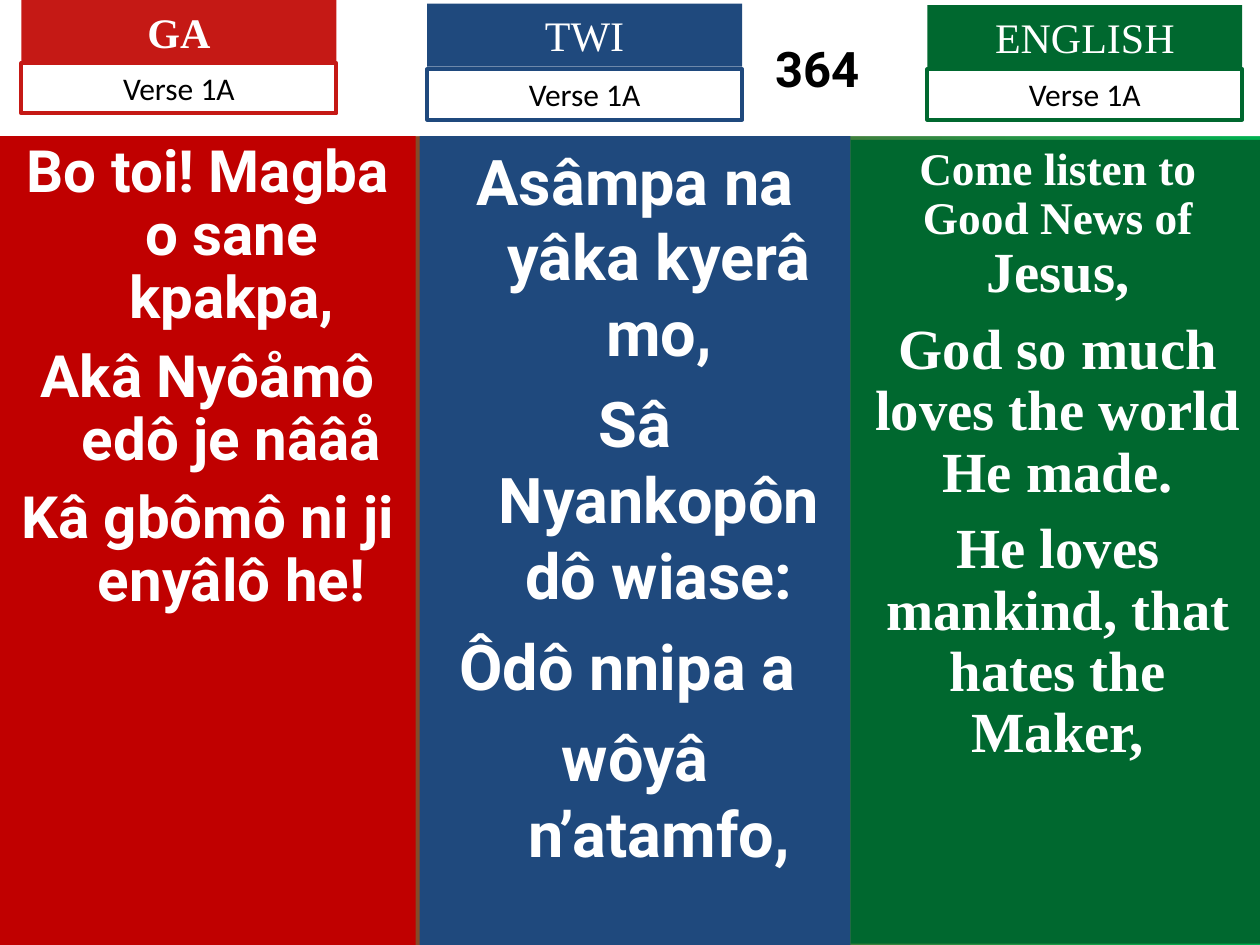
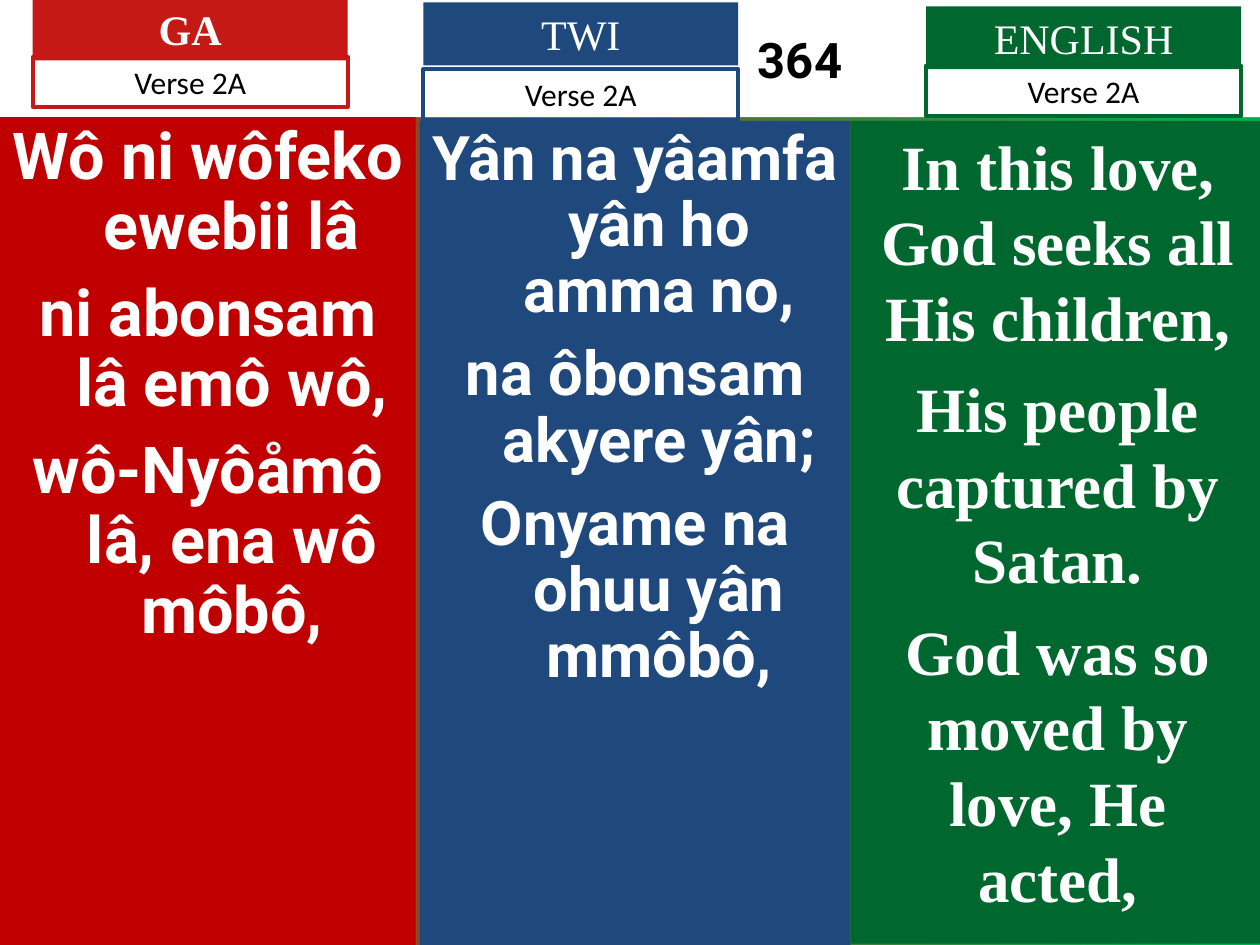
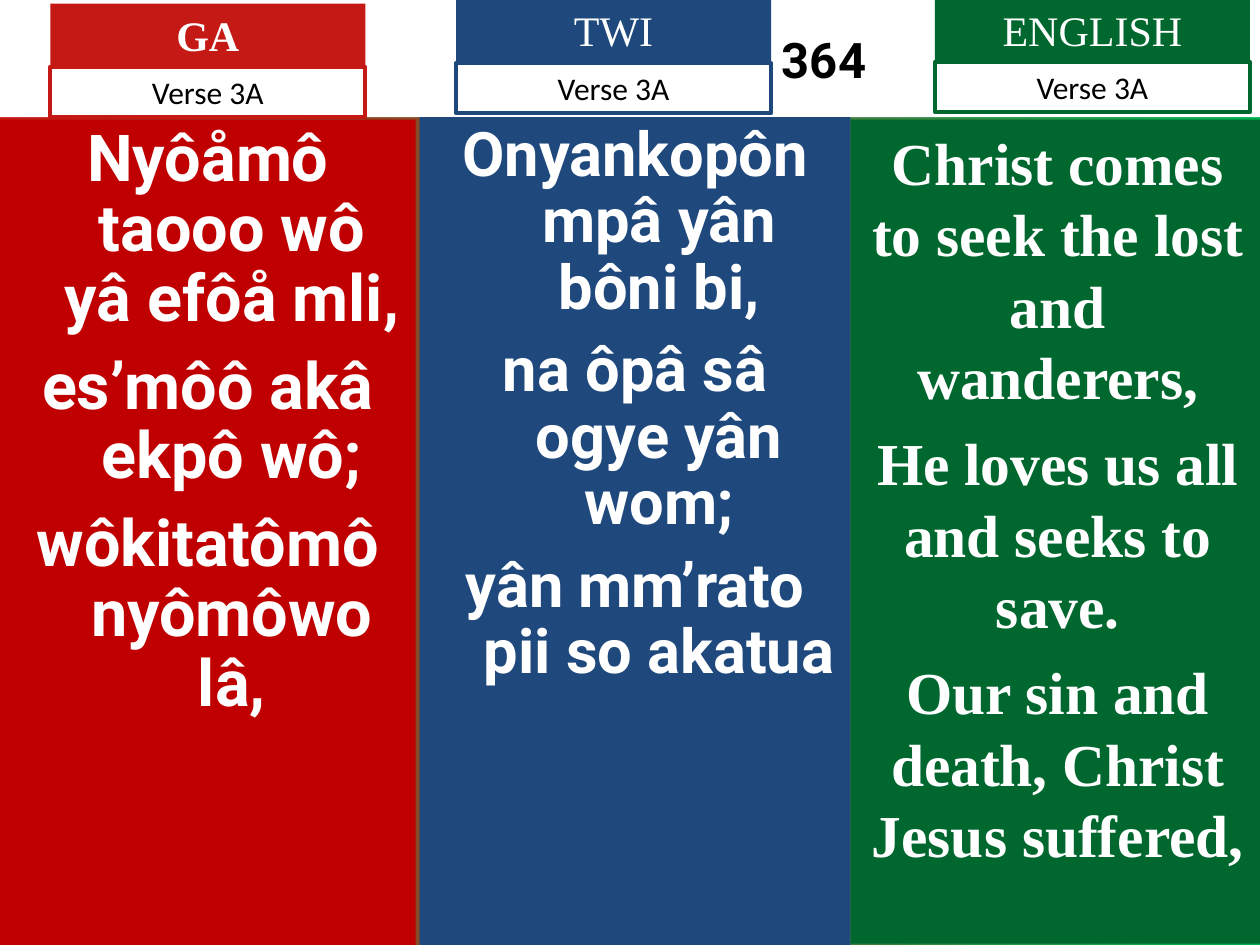
from dataclasses import dataclass

from pptx import Presentation
from pptx.dml.color import RGBColor
from pptx.enum.shapes import MSO_SHAPE
from pptx.enum.text import MSO_ANCHOR, PP_ALIGN
from pptx.util import Pt

PX = 9144  # EMU in one px, 100 px to the inch
PAGE_WIDTH, PAGE_HEIGHT = 1000, 750

RECTANGLE = MSO_SHAPE.RECTANGLE
TOP, MIDDLE = MSO_ANCHOR.TOP, MSO_ANCHOR.MIDDLE
CENTER = PP_ALIGN.CENTER

WHITE = RGBColor(0xFF, 0xFF, 0xFF)
BLACK = RGBColor(0x00, 0x00, 0x00)
RED = RGBColor(0xC5, 0x19, 0x15)
DEEP_RED = RGBColor(0xC0, 0x00, 0x00)
BLUE = RGBColor(0x1F, 0x49, 0x7D)
GREEN = RGBColor(0x00, 0x68, 0x2F)
BRIGHT_GREEN = RGBColor(0x00, 0xB0, 0x50)

SANS, SERIF, PLAIN = "Roboto", "Times New Roman", "Calibri"
HYMN_NUMBER = "364"


@dataclass
class Language:
    name: str
    accent: RGBColor
    panel_color: RGBColor
    left: int
    width: int
    bottom: int
    font: str
    hanging: int
    bold_name: bool


LANGUAGES = [
    Language("GA", RED, DEEP_RED, 0, 330, 750, SANS, 38, True),
    Language("TWI", BLUE, BLUE, 333, 342, 750, SANS, 38, False),
    Language("ENGLISH", GREEN, GREEN, 675, 329, 749, SERIF, 0, False),
]


@dataclass
class Column:
    """One language's verse; a line is a string or a list of (text, size) spans."""
    tag_left: int
    name_top: int
    verse_top: int
    panel_top: int
    size: float
    space: float
    spacing: float
    lines: list


@dataclass
class Verse:
    label: str
    band_height: int
    number_inset: int
    columns: list


VERSES = [
    Verse("Verse 1A", 108, 298, [
        Column(17, 0, 50, 108, 33.3, 9, 0.9, [
            "Bo toi! Magba o sane kpakpa,",
            "Akâ Nyôåmô edô je nââå",
            "Kâ gbômô ni ji enyâlô he!"]),
        Column(339, 3, 55, 108, 36, 9, 1.0, [
            "Asâmpa na yâka kyerâ mo,",
            "Sâ Nyankopôn dô wiase:",
            "Ôdô nnipa a ",
            "wôyâ n’atamfo,"]),
        Column(736, 4, 55, 111, 32.4, 8.8, 0.9, [
            [("Come listen to Good News of ", 25.9), ("Jesus,", 32.4)],
            "God so much loves the world He made.",
            "He loves mankind, that hates the Maker,"]),
    ]),
    Verse("Verse 2A", 93, 270, [
        Column(26, -2, 45, 93, 37, 10, 0.9, [
            "Wô ni wôfeko ewebii lâ",
            "ni abonsam lâ emô wô,",
            "wô-Nyôåmô lâ, ena wô môbô,"]),
        Column(336, 2, 55, 96, 35.1, 9.5, 0.9, [
            "Yân na yâamfa yân ho amma no,",
            "na ôbonsam akyere yân;",
            "Onyame na ohuu yân mmôbô,"]),
        Column(735, 5, 52, 96, 36, 9, 1.0, [
            "In this love, God seeks all His children,",
            "His people captured by Satan.",
            "God was so moved by love, He acted,"]),
    ]),
    Verse("Verse 3A", 93, 308, [
        Column(40, 3, 53, 95, 37, 10, 0.9, [
            "Nyôåmô taooo wô yâ efôå mli,",
            "es’môô akâ ekpô wô;",
            "wôkitatômô nyômôwo lâ,"]),
        Column(362, -1, 50, 93, 35.1, 9.5, 0.9, [
            "Onyankopôn mpâ yân bôni bi,",
            "na ôpâ sâ ogye yân wom;",
            "yân mm’rato pii so akatua"]),
        Column(742, -1, 49, 95, 34, 8.5, 1.0, [
            "Christ comes to seek the lost and wanderers,",
            "He loves us all and seeks to save.",
            "Our sin and death, Christ Jesus suffered,"]),
    ]),
]


class HymnDeck:
    def __init__(self):
        self.deck = Presentation()
        self.deck.slide_width = PAGE_WIDTH * PX
        self.deck.slide_height = PAGE_HEIGHT * PX
        self.page = None

    def add_page(self):
        self.page = self.deck.slides.add_slide(self.deck.slide_layouts[6])
        fill = self.page.background.fill
        fill.gradient()
        fill.gradient_angle = 0
        for stop, color in zip(fill.gradient_stops, (RED, BRIGHT_GREEN)):
            stop.color.rgb = color

    def add_box(self, left, top, width, height, fill=None, line=None):
        box = self.page.shapes.add_shape(
            RECTANGLE, left * PX, top * PX, width * PX, height * PX)
        box.shadow.inherit = False
        if fill is None:
            box.fill.background()
        else:
            box.fill.solid()
            box.fill.fore_color.rgb = fill
        if line is None:
            box.line.fill.background()
        else:
            box.line.color.rgb = line
            box.line.width = Pt(2.25)
        frame = box.text_frame
        frame.word_wrap = True
        frame.vertical_anchor = TOP
        frame.margin_left = frame.margin_right = 10 * PX
        frame.margin_top = frame.margin_bottom = 5 * PX
        return box

    def add_span(self, para, text, font, size, color, bold=False):
        para.alignment = CENTER
        span = para.add_run()
        span.text = text
        span.font.name = font
        span.font.size = Pt(size)
        span.font.bold = bold
        span.font.color.rgb = color

    def add_band(self, height, number_inset):
        """White top band; its left inset shifts the centred hymn number."""
        frame = self.add_box(0, 0, PAGE_WIDTH, height, WHITE).text_frame
        frame.vertical_anchor = MIDDLE
        frame.margin_left, frame.margin_right = number_inset * PX, 0
        self.add_span(frame.paragraphs[0], HYMN_NUMBER, SANS, 28, BLACK, True)

    def add_panel(self, language, column):
        box = self.add_box(language.left, column.panel_top, language.width,
                           language.bottom - column.panel_top,
                           language.panel_color)
        frame = box.text_frame
        for index, line in enumerate(column.lines):
            para = frame.add_paragraph() if index else frame.paragraphs[0]
            if index:
                para.space_before = Pt(column.space)
            para.line_spacing = column.spacing
            if language.hanging:
                properties = para._p.get_or_add_pPr()
                properties.set("marL", str(language.hanging * PX))
                properties.set("indent", str(-language.hanging * PX))
            spans = [(line, column.size)] if isinstance(line, str) else line
            for text, size in spans:
                self.add_span(para, text, language.font, size, WHITE, True)

    def add_tag(self, language, column, label):
        """Language name over its framed verse label."""
        name = self.add_box(column.tag_left, column.name_top, 250, 50,
                            fill=language.accent)
        self.add_span(name.text_frame.paragraphs[0], language.name, SERIF, 24,
                      WHITE, language.bold_name)
        verse = self.add_box(column.tag_left, column.verse_top, 250, 40,
                             line=language.accent)
        self.add_span(verse.text_frame.paragraphs[0], label, PLAIN, 18, BLACK)

    def add_verse(self, verse):
        self.add_page()
        self.add_band(verse.band_height, verse.number_inset)
        for language, column in zip(LANGUAGES, verse.columns):
            self.add_panel(language, column)
        for language, column in zip(LANGUAGES, verse.columns):
            self.add_tag(language, column, verse.label)


def main():
    hymn = HymnDeck()
    for verse in VERSES:
        hymn.add_verse(verse)
    hymn.deck.save("out.pptx")


if __name__ == "__main__":
    main()
